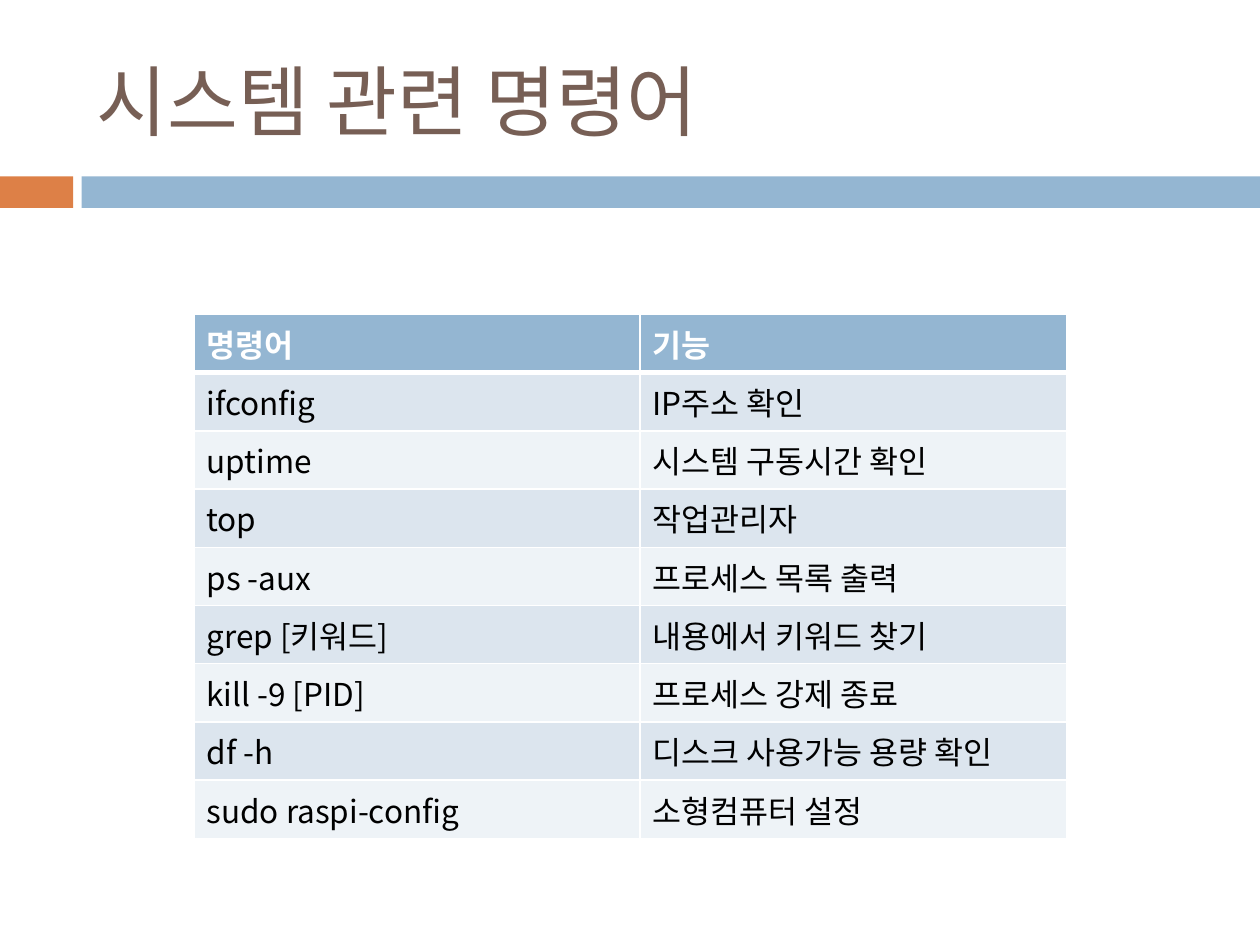
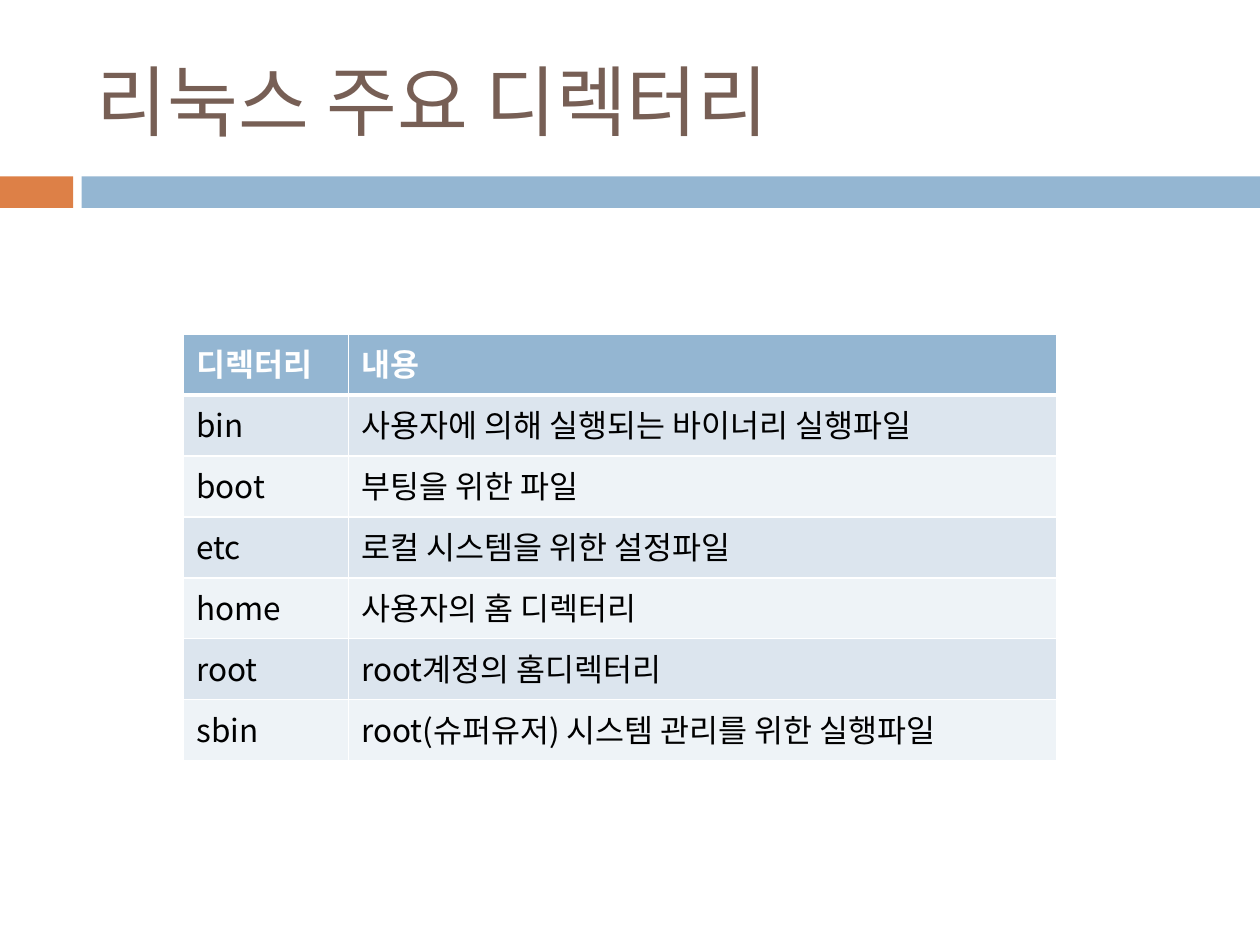
from pptx import Presentation
from pptx.dml.color import RGBColor
from pptx.enum.shapes import MSO_SHAPE as Shape
from pptx.enum.text import MSO_ANCHOR as Anchor, MSO_AUTO_SIZE as AutoSize, PP_ALIGN as Align
from pptx.oxml.ns import qn
from pptx.util import Pt
from lxml.etree import SubElement

# Shared style
FONT = "Noto Sans CJK KR"
BROWN = RGBColor(0x77, 0x5F, 0x55)
ORANGE = RGBColor(0xDD, 0x80, 0x47)
BLUE = RGBColor(0x94, 0xB6, 0xD2)
ROW_DARK = RGBColor(0xDC, 0xE5, 0xEE)
ROW_LIGHT = RGBColor(0xEE, 0xF3, 0xF7)
WHITE = RGBColor(0xFF, 0xFF, 0xFF)
BLACK = RGBColor(0, 0, 0)
SLIDE_WIDTH, SLIDE_HEIGHT = 720, 540
BAND_TOP, BAND_HEIGHT = 100.8, 18
ACCENT_WIDTH, BAND_LEFT = 41.8, 46.6
THIN, THICK = 1, 3
TITLE_ONLY = 5

# Table contents, header row first
COMMANDS = [
    ("명령어", "기능"),
    ("ifconfig", "IP주소 확인"),
    ("uptime", "시스템 구동시간 확인"),
    ("top", "작업관리자"),
    ("ps -aux", "프로세스 목록 출력"),
    ("grep [키워드]", "내용에서 키워드 찾기"),
    ("kill -9 [PID]", "프로세스 강제 종료"),
    ("df -h", "디스크 사용가능 용량 확인"),
    ("sudo raspi-config", "소형컴퓨터 설정"),
]
DIRECTORIES = [
    ("디렉터리", "내용"),
    ("bin", "사용자에 의해 실행되는 바이너리 실행파일"),
    ("boot", "부팅을 위한 파일"),
    ("etc", "로컬 시스템을 위한 설정파일"),
    ("home", "사용자의 홈 디렉터리"),
    ("root", "root계정의 홈디렉터리"),
    ("sbin", "root(슈퍼유저) 시스템 관리를 위한 실행파일"),
]


class Deck:
    def __init__(self):
        self.presentation = Presentation()
        self.presentation.slide_width = Pt(SLIDE_WIDTH)
        self.presentation.slide_height = Pt(SLIDE_HEIGHT)
        self.slide = None

    def add_slide(self, title):
        layout = self.presentation.slide_layouts[TITLE_ONLY]
        self.slide = self.presentation.slides.add_slide(layout)
        self.add_band(0, ACCENT_WIDTH, ORANGE)
        self.add_band(BAND_LEFT, SLIDE_WIDTH - BAND_LEFT, BLUE)
        self.set_title(title)

    def add_band(self, left, width, color):
        shape = self.slide.shapes.add_shape(
            Shape.RECTANGLE, Pt(left), Pt(BAND_TOP), Pt(width), Pt(BAND_HEIGHT))
        shape.shadow.inherit = False
        shape.fill.solid()
        shape.fill.fore_color.rgb = color
        shape.line.fill.background()

    def set_title(self, text):
        shape = self.slide.shapes.title
        shape.left, shape.top = Pt(48), Pt(18)
        shape.width, shape.height = Pt(642), Pt(78)
        text_frame = shape.text_frame
        text_frame.text = text
        text_frame.auto_size = AutoSize.NONE
        text_frame.vertical_anchor = Anchor.MIDDLE
        self.style_text(text_frame, 44, BROWN)

    def style_text(self, text_frame, size, color, bold=False):
        paragraph = text_frame.paragraphs[0]
        paragraph.alignment = Align.LEFT
        for run in paragraph.runs:
            font = run.font
            font.size, font.bold, font.name = Pt(size), bold, FONT
            font.color.rgb = color
            # Hangul takes the East Asian typeface
            SubElement(font._element, qn("a:ea"), typeface=FONT)

    def add_table(self, rows, left, top, column_widths, row_height):
        table = self.slide.shapes.add_table(
            len(rows), len(column_widths), Pt(left), Pt(top),
            Pt(sum(column_widths)), Pt(row_height * len(rows))).table
        for column, width in zip(table.columns, column_widths):
            column.width = Pt(width)
        for row_index, texts in enumerate(rows):
            table.rows[row_index].height = Pt(row_height)
            for column_index, text in enumerate(texts):
                self.fill_cell(table.cell(row_index, column_index), text, row_index)

    def fill_cell(self, cell, text, row_index):
        is_header = row_index == 0
        cell.text_frame.text = text
        self.style_text(cell.text_frame, 18, WHITE if is_header else BLACK, is_header)
        # Borders come before the fill; the rule under the header is thick
        self.add_border(cell, "a:lnL", THIN)
        self.add_border(cell, "a:lnR", THIN)
        self.add_border(cell, "a:lnT", THICK if row_index == 1 else THIN)
        self.add_border(cell, "a:lnB", THICK if is_header else THIN)
        cell.fill.solid()
        band_color = ROW_DARK if row_index % 2 else ROW_LIGHT
        cell.fill.fore_color.rgb = BLUE if is_header else band_color

    def add_border(self, cell, side, width):
        properties = cell._tc.get_or_add_tcPr()
        line = SubElement(properties, qn(side), w=str(Pt(width)))
        fill = SubElement(line, qn("a:solidFill"))
        SubElement(fill, qn("a:srgbClr"), val=str(WHITE))


def main():
    deck = Deck()

    # System commands
    deck.add_slide("시스템 관련 명령어")
    deck.add_table(COMMANDS, 110.8, 179.6, (254.8, 244), 32.3)

    # Main directories
    deck.add_slide("리눅스 주요 디렉터리")
    deck.add_table(DIRECTORIES, 105, 190.8, (94.2, 404.6), 34.85)

    deck.presentation.save("out.pptx")


if __name__ == "__main__":
    main()
